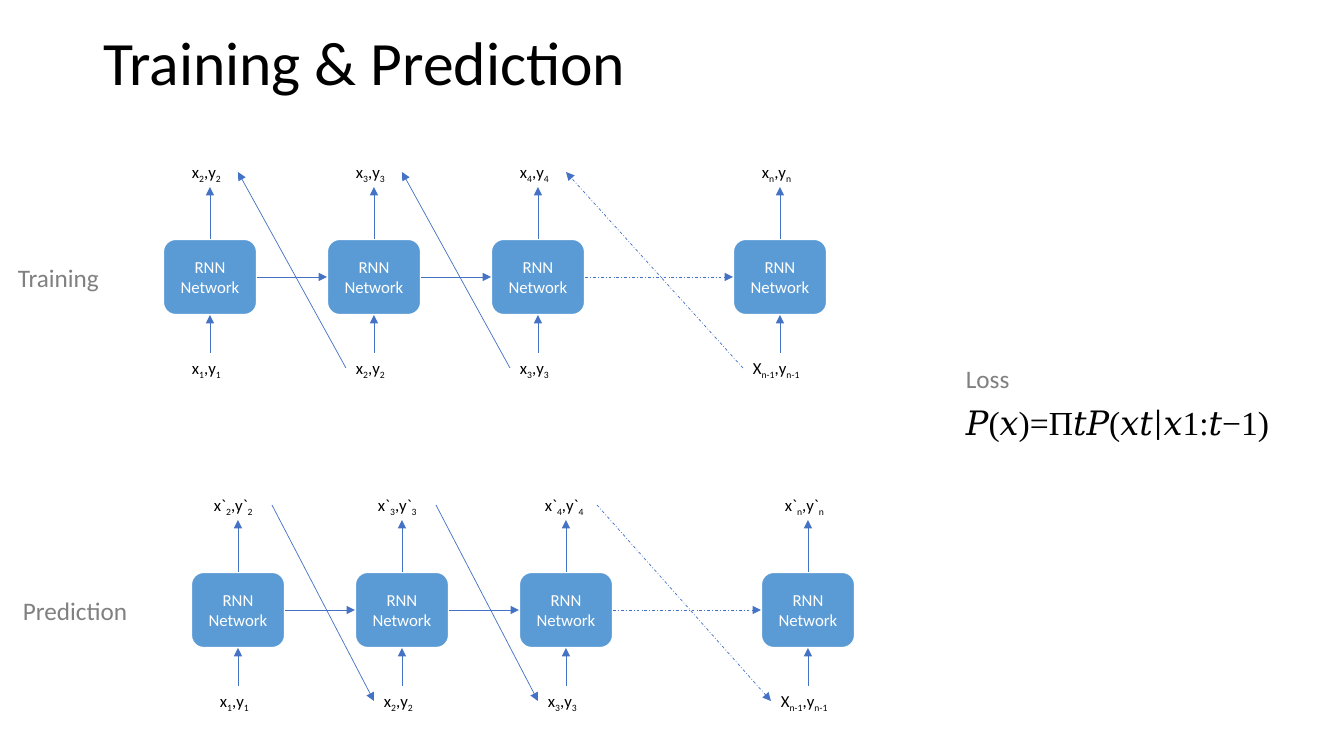
from lxml import etree
from pptx import Presentation
from pptx.dml.color import RGBColor
from pptx.enum.dml import MSO_LINE
from pptx.enum.shapes import MSO_CONNECTOR, MSO_SHAPE
from pptx.enum.text import MSO_ANCHOR, MSO_AUTO_SIZE, PP_ALIGN
from pptx.oxml.ns import qn
from pptx.util import Pt

STRAIGHT = MSO_CONNECTOR.STRAIGHT
ROUNDED = MSO_SHAPE.ROUNDED_RECTANGLE
DASH_DOT = MSO_LINE.DASH_DOT
TOP, MIDDLE = MSO_ANCHOR.TOP, MSO_ANCHOR.MIDDLE
FIXED, GROW = MSO_AUTO_SIZE.NONE, MSO_AUTO_SIZE.SHAPE_TO_FIT_TEXT
LEFT, CENTER = PP_ALIGN.LEFT, PP_ALIGN.CENTER
SITE_TOP, SITE_LEFT, SITE_BOTTOM, SITE_RIGHT = range(4)

PX_PER_INCH = 100.8


def px(length):
    return round(length * 914400 / PX_PER_INCH)


def color(value):
    return RGBColor.from_string(value)


def apply_format(target, values):
    for name, value in values.items():
        setattr(target, name, value)


class Diagram:
    """Style and current slide, with one method per kind of element."""

    FONT = "Calibri"
    BLACK, WHITE, GRAY = "000000", "FFFFFF", "808080"
    NODE, ARROW = "5B9BD5", "4472C4"

    def __init__(self, slide):
        self.slide = slide

    def fill_text(self, shape, runs, size, ink, align=LEFT, **frame_format):
        """Fill a shape with runs given as (text, font name, is subscript)."""
        frame = shape.text_frame
        apply_format(frame, frame_format)
        paragraph = frame.paragraphs[0]
        paragraph.alignment = align
        for text, font, subscript in runs:
            run = paragraph.add_run()
            run.text = text
            apply_format(run.font, {"name": font, "size": Pt(size)})
            run.font.color.rgb = color(ink)
            if subscript:
                run._r.get_or_add_rPr().set("baseline", "-25000")
        return paragraph

    def title(self, text, *box):
        title = self.slide.shapes.title
        apply_format(title, dict(zip(("left", "top", "width", "height"), map(px, box))))
        paragraph = self.fill_text(title, [(text, self.FONT, False)], 44, self.BLACK,
                                   vertical_anchor=MIDDLE, auto_size=FIXED)
        paragraph.line_spacing = 0.9

    def text(self, runs, box, size, ink, wrap=True):
        area = self.slide.shapes.add_textbox(*map(px, box))
        self.fill_text(area, runs, size, ink, word_wrap=wrap, auto_size=GROW,
                       vertical_anchor=TOP)
        return area

    def caption(self, text, *box):
        return self.text([(text, self.FONT, False)], box, 18, self.GRAY, wrap=False)

    def pair(self, letters, subscript, center, top, width):
        """Label such as x1,y1 centred on its column."""
        first, second = letters
        runs = [(first, self.FONT, False), (subscript, self.FONT, True),
                ("," + second, self.FONT, False), (subscript, self.FONT, True)]
        return self.text(runs, (center - width // 2, top, width, 30), 12, self.BLACK)

    def network(self, *box):
        node = self.slide.shapes.add_shape(ROUNDED, *map(px, box))
        node.shadow.inherit = False
        node.fill.solid()
        node.fill.fore_color.rgb = color(self.NODE)
        node.line.color.rgb = color(self.WHITE)
        node.line.width = Pt(1.5)
        self.fill_text(node, [("RNN Network", self.FONT, False)], 12, self.WHITE, CENTER,
                       word_wrap=True, vertical_anchor=MIDDLE)
        return node

    def arrow(self, start, start_site, end, end_site, dashed=False):
        arrow = self.slide.shapes.add_connector(STRAIGHT, 0, 0, 0, 0)
        arrow.begin_connect(start, start_site)
        arrow.end_connect(end, end_site)
        arrow.line.color.rgb = color(self.ARROW)
        arrow.line.width = Pt(0.5)
        if dashed:
            arrow.line.dash_style = DASH_DOT
        properties = arrow._element.spPr
        etree.SubElement(properties.find(qn("a:ln")), qn("a:tailEnd"), type="triangle")
        etree.SubElement(properties, qn("a:effectLst"))


COLUMNS = (0, 164, 328, 570)
NODE_WIDTH, NODE_HEIGHT = 94, 76
INPUTS = (("xy", "1"), ("xy", "2"), ("xy", "3"), ("Xy", "n-1"))
INPUT_WIDTHS = (56, 56, 56, 74)
OUTPUTS = ("2", "3", "4", "n")


def unroll(diagram, left, top, output_letters, output_widths, feeds_back):
    """Draw the unrolled network from output labels down to input labels."""
    steps = []
    for i, offset in enumerate(COLUMNS):
        center = left + offset + NODE_WIDTH // 2
        node = diagram.network(left + offset, top + 82, NODE_WIDTH, NODE_HEIGHT)
        source = diagram.pair(*INPUTS[i], center, top + 196, INPUT_WIDTHS[i])
        result = diagram.pair(output_letters, OUTPUTS[i], center, top, output_widths[i])
        diagram.arrow(source, SITE_TOP, node, SITE_BOTTOM)
        diagram.arrow(node, SITE_TOP, result, SITE_BOTTOM)
        steps.append((node, source, result))

    # State passed along, and the link between an output and the next input
    for i, (current, following) in enumerate(zip(steps, steps[1:])):
        dashed = i == len(steps) - 2
        diagram.arrow(current[0], SITE_RIGHT, following[0], SITE_LEFT, dashed)
        output_end = (current[2], SITE_RIGHT)
        input_end = (following[1], SITE_LEFT)
        ends = output_end + input_end if feeds_back else input_end + output_end
        diagram.arrow(*ends, dashed)


def main():
    deck = Presentation()
    deck.slide_width, deck.slide_height = px(1344), px(756)
    diagram = Diagram(deck.slides.add_slide(deck.slide_layouts[5]))
    diagram.title("Training & Prediction", 93, -7, 1159, 146)

    # Training
    unroll(diagram, 163, 157, "xy", (56, 56, 56, 56), feeds_back=False)
    diagram.caption("Training", 8, 257, 102, 40)

    # Prediction
    unroll(diagram, 191, 490, ("x`", "y`"), (68, 68, 62, 66), feeds_back=True)
    diagram.caption("Prediction", 13, 590, 126, 40)

    # Loss
    formula = [("𝑃(𝑥)=Π𝑡𝑃(𝑥𝑡", "Times New Roman", False), ("|", "Cambria", False),
               ("𝑥1:𝑡−1)", "Times New Roman", False)]
    diagram.text(formula, (956, 397, 333, 50), 24, Diagram.BLACK)
    diagram.caption("Loss", 956, 358, 65, 40)

    deck.save("out.pptx")


if __name__ == "__main__":
    main()
